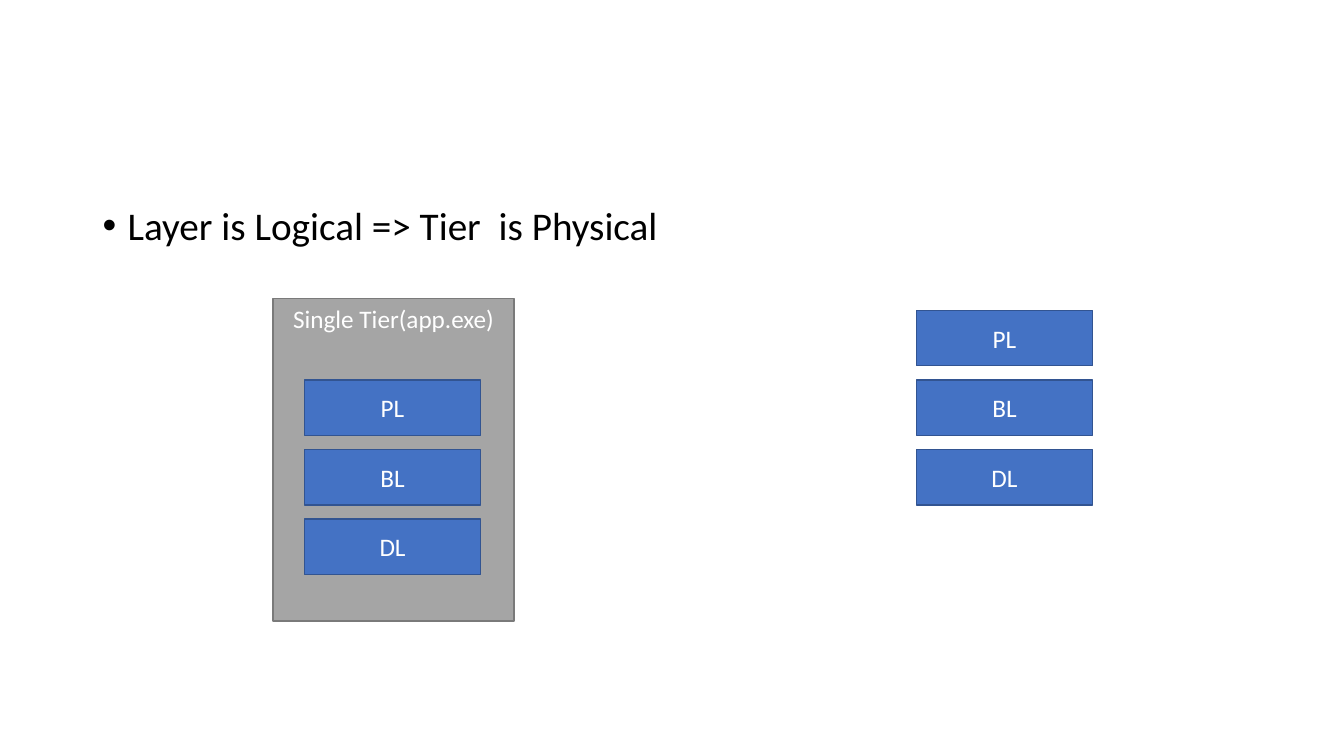
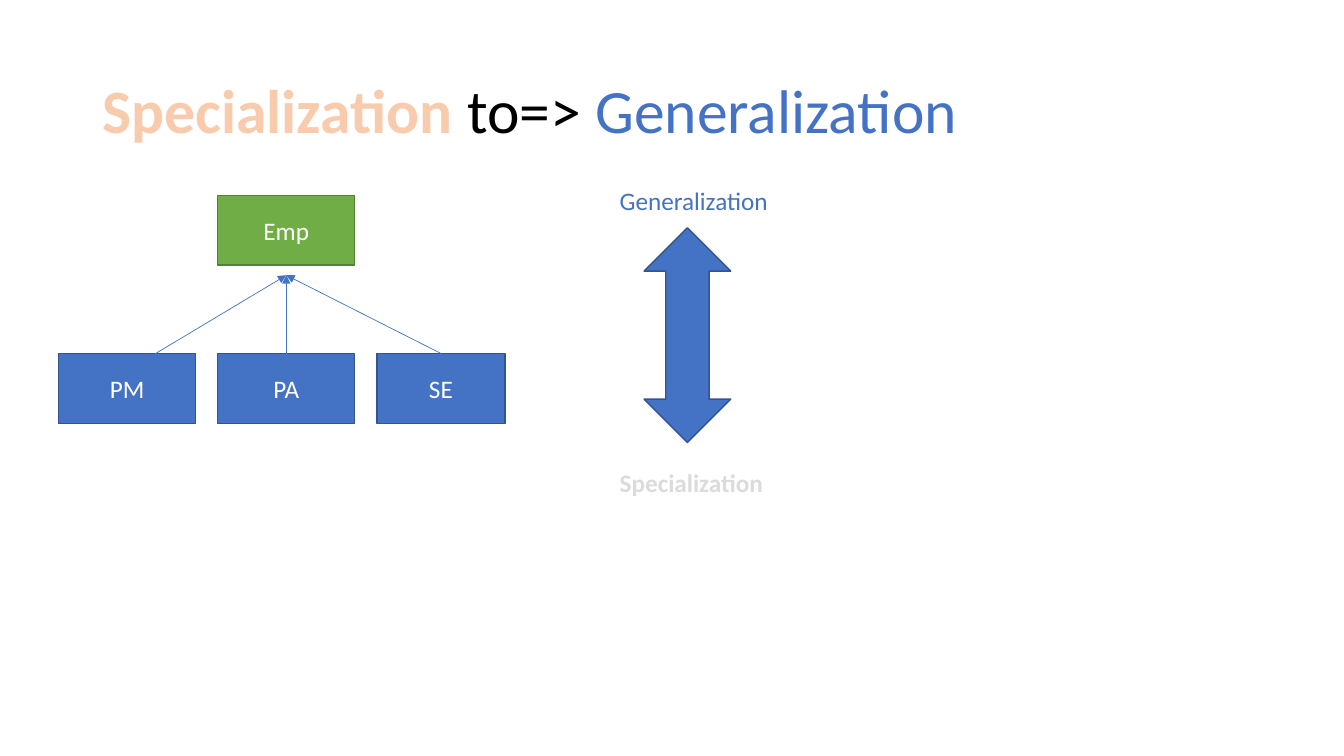
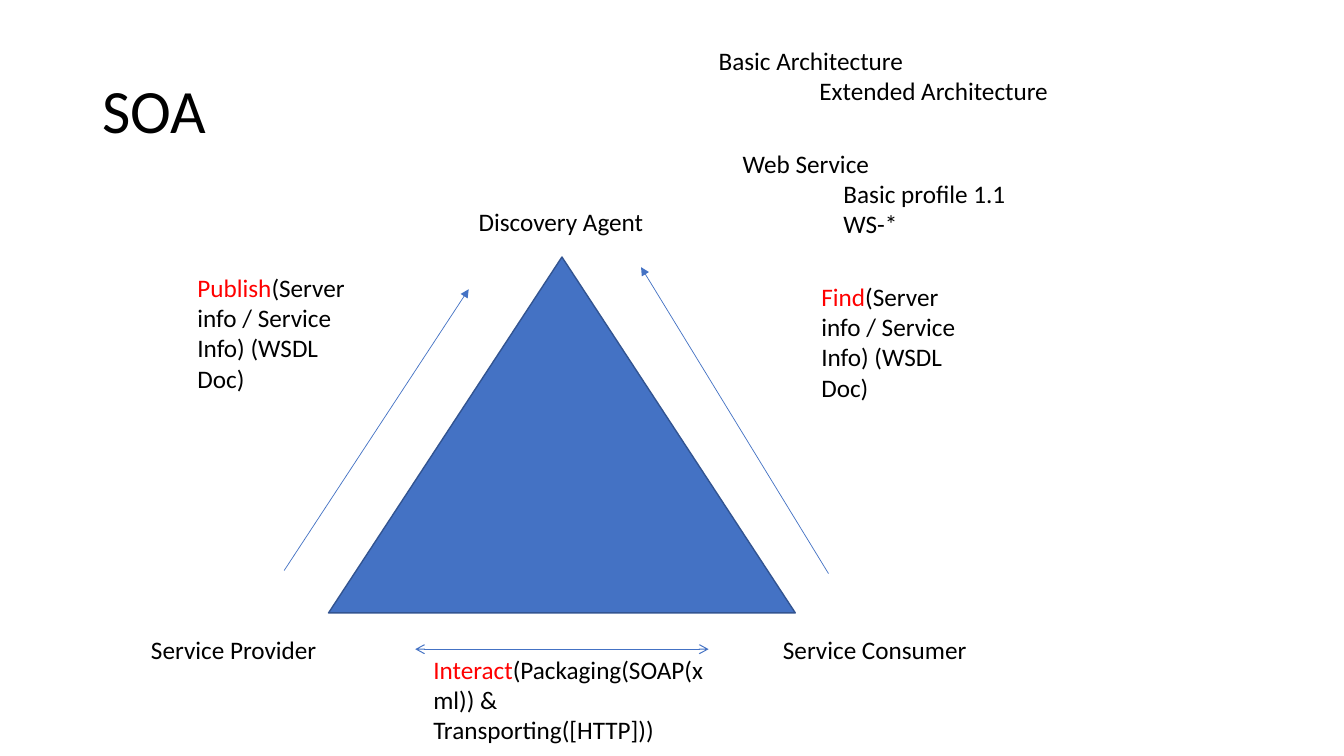
"""Build three slides on layers and tiers, generalization, and SOA."""
from dataclasses import dataclass

from lxml.etree import SubElement
from pptx import Presentation
from pptx.dml.color import RGBColor
from pptx.enum.shapes import MSO_CONNECTOR, MSO_SHAPE as Kind
from pptx.enum.text import MSO_ANCHOR as Anchor, PP_ALIGN as Align
from pptx.oxml.ns import qn
from pptx.slide import Slide
from pptx.text.text import _Paragraph as Para
from pptx.util import Pt

FONT = "Calibri"
BLACK, WHITE, RED = "000000", "FFFFFF", "FF0000"
BLUE, NAVY = "4472C4", "325491"
GREEN, MOSS = "70AD47", "538035"
GRAY, SLATE = "A5A5A5", "7A7A7A"
PEACH, SILVER = "F8CBAD", "DBDBDB"


@dataclass(frozen=True)
class Area:
    left: float
    top: float
    width: float
    height: float


@dataclass(frozen=True)
class Piece:
    text: str
    color: str = BLACK
    bold: bool = False


@dataclass(frozen=True)
class Row:
    pieces: tuple[Piece, ...]
    inset: float = 0


@dataclass(frozen=True)
class Block:
    area: Area
    text: str = ""
    kind: Kind = Kind.RECTANGLE
    fill: str = BLUE
    edge: str = NAVY
    anchor: Anchor = Anchor.MIDDLE


@dataclass(frozen=True)
class Arrow:
    start: tuple[float, float]
    end: tuple[float, float]
    width: float = 0.5
    head: str = ""
    tail: str = "triangle"


TITLE = Area(66.2, 28.8, 828, 104.4)
BODY = Area(66.2, 144, 828, 342.7)


def rgb(code: str) -> RGBColor:
    return RGBColor.from_string(code)


def place(area: Area) -> tuple[Pt, Pt, Pt, Pt]:
    return Pt(area.left), Pt(area.top), Pt(area.width), Pt(area.height)


def style(para: Para, pieces: tuple[Piece, ...], size: float) -> None:
    para.text = pieces[0].text
    for piece in pieces[1:]:
        para.add_run().text = piece.text
    for run, piece in zip(para.runs, pieces):
        run.font.name = FONT
        run.font.size = Pt(size)
        run.font.bold = piece.bold
        run.font.color.rgb = rgb(piece.color)


def write(slide: Slide, area: Area, *rows: Row, size: float = 18,
          anchor: Anchor = Anchor.TOP) -> list[Para]:
    frame = slide.shapes.add_textbox(*place(area)).text_frame
    frame.word_wrap = True
    frame.vertical_anchor = anchor
    for spot, row in enumerate(rows):
        para = frame.add_paragraph() if spot else frame.paragraphs[0]
        if row.inset:
            para._p.get_or_add_pPr().set("marL", str(Pt(row.inset)))
        style(para, row.pieces, size)
    return list(frame.paragraphs)


def label(slide: Slide, area: Area, *pieces: Piece) -> None:
    write(slide, area, Row(pieces))


def title(slide: Slide, *pieces: Piece) -> None:
    para, = write(slide, TITLE, Row(pieces), size=44, anchor=Anchor.MIDDLE)
    para.line_spacing = 0.9


def bullet(slide: Slide, text: str) -> None:
    para, = write(slide, BODY, Row((Piece(text),), 18), size=28)
    para.line_spacing = 0.9
    props = para._p.get_or_add_pPr()
    props.set("indent", str(Pt(-18)))
    SubElement(props, qn("a:buFont")).set("typeface", "Arial")
    SubElement(props, qn("a:buChar")).set("char", "•")


def draw(slide: Slide, block: Block) -> None:
    shape = slide.shapes.add_shape(block.kind, *place(block.area))
    shape.shadow.inherit = False
    shape.fill.solid()
    shape.fill.fore_color.rgb = rgb(block.fill)
    shape.line.color.rgb = rgb(block.edge)
    shape.line.width = Pt(1)
    if block.text:
        frame = shape.text_frame
        frame.word_wrap = True
        frame.vertical_anchor = block.anchor
        para = frame.paragraphs[0]
        para.alignment = Align.CENTER
        style(para, (Piece(block.text, WHITE),), 18)


def link(slide: Slide, arrow: Arrow) -> None:
    ends = [Pt(n) for n in (*arrow.start, *arrow.end)]
    line = slide.shapes.add_connector(MSO_CONNECTOR.STRAIGHT, *ends)
    line.line.color.rgb = rgb(BLUE)
    line.line.width = Pt(arrow.width)
    props = line._element.spPr
    stroke = props.find(qn("a:ln"))
    for tag, kind in (("a:headEnd", arrow.head), ("a:tailEnd", arrow.tail)):
        if kind:
            SubElement(stroke, qn(tag)).set("type", kind)
    SubElement(props, qn("a:effectLst"))


def stack(slide: Slide, left: float, top: float) -> None:
    for spot, name in enumerate(("PL", "BL", "DL")):
        draw(slide, Block(Area(left, top + spot * 49.7, 126, 39.6), name))


def tiers(slide: Slide) -> None:
    bullet(slide, "Layer is Logical => Tier  is Physical")
    draw(slide, Block(Area(195.1, 213.1, 172.1, 230.4), "Single Tier(app.exe)",
                      fill=GRAY, edge=SLATE, anchor=Anchor.TOP))
    stack(slide, 217.4, 271.4)
    stack(slide, 654.5, 221.7)


def classes(slide: Slide) -> None:
    title(slide, Piece("Specialization", PEACH, True), Piece(" to=> "),
          Piece("Generalization", BLUE))
    left, top, step, wide, high = 41.8, 252.7, 113.75, 97.9, 49.7
    staff = (("PM", wide, 110.9), ("PA", wide, 204.5), ("SE", 91.4, 315.4))
    for spot, (name, width, start) in enumerate(staff):
        draw(slide, Block(Area(left + spot * step, top, width, high), name))
        link(slide, Arrow((start, top), (204.5, 196.6)))
    draw(slide, Block(Area(left + step, 139.7, wide, high), "Emp",
                      fill=GREEN, edge=MOSS))
    draw(slide, Block(Area(460.1, 162.7, 61.9, 153.4),
                      kind=Kind.UP_DOWN_ARROW))
    label(slide, Area(435.6, 330.5, 124.6, 28.8),
          Piece("Specialization", SILVER, True))
    label(slide, Area(435.6, 128.9, 480.2, 28.8), Piece("Generalization", BLUE))


def soa(slide: Slide) -> None:
    title(slide, Piece("SOA"))
    draw(slide, Block(Area(234.7, 183.6, 333.4, 254.2),
                      kind=Kind.ISOSCELES_TRIANGLE))
    for name, left, top in (("Discovery Agent", 334.8, 144),
                            ("Service Provider", 100.8, 449.3),
                            ("Service Consumer", 552.2, 449.3)):
        label(slide, Area(left, top, 155, 28.8), Piece(name))
    for arrow in (Arrow((203, 407.5), (334.8, 206.6)),
                  Arrow((591.8, 409.7), (457.9, 190.8)),
                  Arrow((296.6, 463.7), (506.2, 463.7), 0.75,
                        "arrow", "arrow")):
        link(slide, arrow)
    details = "(Server info / Service Info) (WSDL Doc)"
    for verb, rest, area in (
            ("Publish", details, Area(133.9, 190.8, 120.2, 94.3)),
            ("Find", details, Area(579.6, 197.3, 120.2, 94.3)),
            ("Interact", "(Packaging(SOAP(xml)) & Transporting([HTTP]))",
             Area(302.4, 463.7, 216.7, 72.7))):
        label(slide, area, Piece(verb, RED), Piece(rest))
    for area, head, *items in (
            (Area(506.2, 28.8, 265, 51.1),
             "Basic Architecture", "Extended Architecture"),
            (Area(523.4, 102.2, 220, 72.7),
             "Web Service", "Basic profile 1.1", "WS-*")):
        write(slide, area, Row((Piece(head),)),
              *(Row((Piece(item),), 72) for item in items))


def main() -> None:
    deck = Presentation()
    deck.slide_width, deck.slide_height = Pt(960), Pt(540)
    for build in (tiers, classes, soa):
        build(deck.slides.add_slide(deck.slide_layouts[6]))
    deck.save("out.pptx")


if __name__ == "__main__":
    main()
